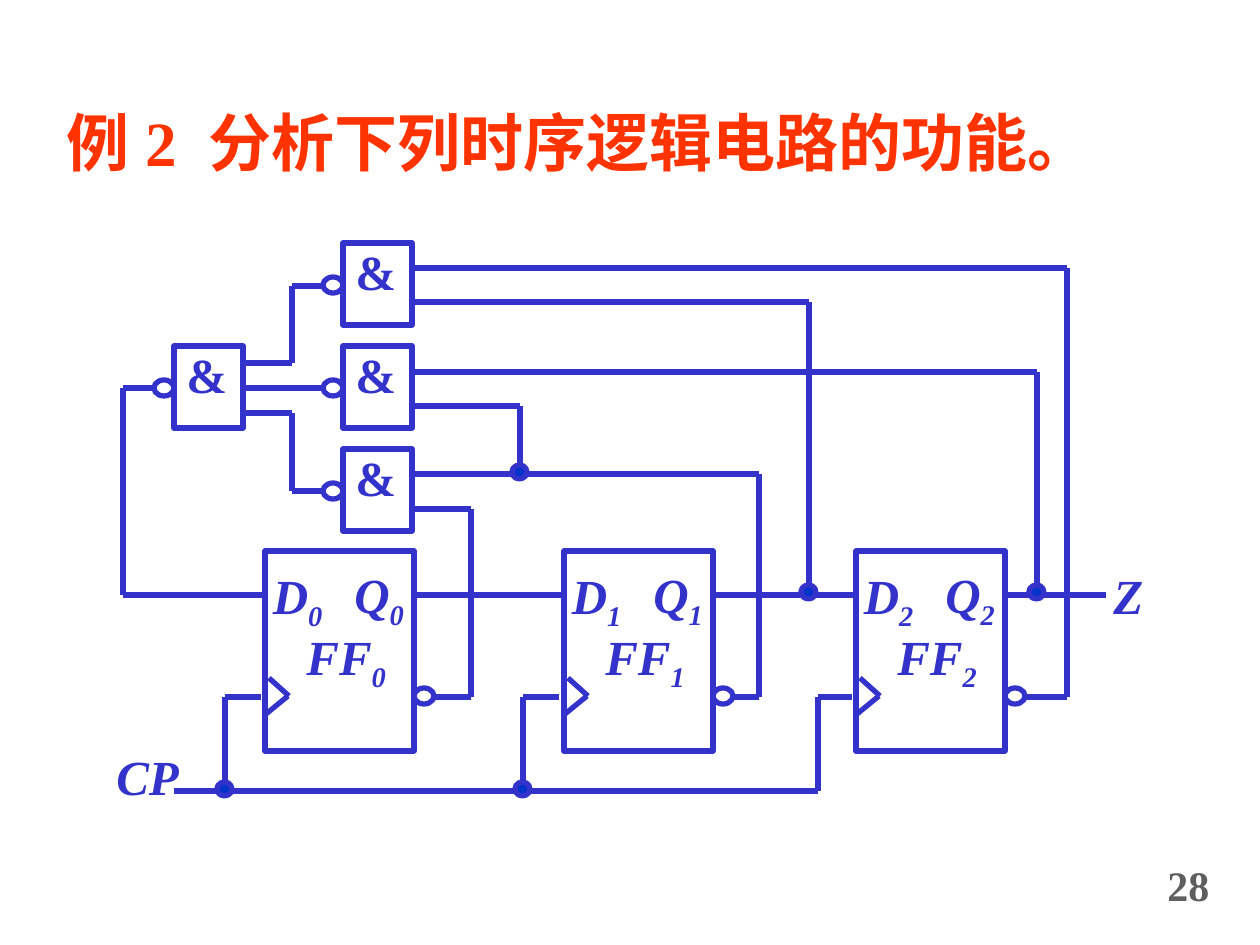
from itertools import pairwise

from lxml.etree import SubElement
from pptx import Presentation
from pptx.dml.color import RGBColor
from pptx.enum.shapes import MSO_CONNECTOR as Connector, MSO_SHAPE as Shape
from pptx.enum.text import PP_ALIGN as Align
from pptx.oxml.ns import qn
from pptx.util import Emu, Pt

COLORS = {"ink": "3333CC", "dot": "0033CC", "title": "FF3300", "number": "5F5F5F"}
LATIN, CHINESE = "Times New Roman", "Noto Sans CJK SC"
SCALE = 914400 / 126
GATES = [(343, 243), (343, 346), (343, 449), (174, 346)]
FLIP_FLOP_LEFTS = [265, 564, 856]
DOTS = [(519, 472), (1036, 592), (808, 592), (224, 789), (522, 789)]
WIRES = [
    [(154, 388), (123, 388), (123, 595), (263, 595)],
    [(243, 388), (323, 388)],
    [(243, 363), (292, 363), (292, 286), (323, 286)],
    [(243, 413), (292, 413), (292, 491), (323, 491)],
    [(412, 268), (1067, 268), (1067, 697), (1024, 697)],
    [(412, 302), (809, 302), (809, 595)],
    [(412, 372), (1037, 372), (1037, 595)],
    [(412, 406), (520, 406), (520, 474)],
    [(412, 474), (759, 474), (759, 697), (732, 697)],
    [(412, 509), (471, 509), (471, 697), (434, 697)],
    [(415, 595), (561, 595)],
    [(712, 595), (858, 595)],
    [(1004, 595), (1106, 595)],
    [(174, 791), (818, 791), (818, 697), (852, 697)],
    [(225, 791), (225, 697), (261, 697)],
    [(523, 791), (523, 697), (559, 697)],
]


def px(value):
    return Emu(round(value * SCALE))


def color(name):
    return RGBColor.from_string(COLORS[name])


def add_outline(slide, kind, left, top, width, height, fill=None):
    shape = slide.shapes.add_shape(kind, px(left), px(top), px(width), px(height))
    shape.shadow.inherit = False
    shape.line.color.rgb = color("ink")
    shape.line.width = Pt(3)
    if fill:
        shape.fill.solid()
        shape.fill.fore_color.rgb = color(fill)
    else:
        shape.fill.background()


def add_wire(slide, points):
    for start, end in pairwise(points):
        line = slide.shapes.add_connector(Connector.STRAIGHT, *map(px, start + end))
        line.line.color.rgb = color("ink")
        line.line.width = Pt(3)
        SubElement(line._element.spPr, qn("a:effectLst"))


def add_text_box(slide, left, top, width, height):
    box = slide.shapes.add_textbox(px(left), px(top), px(width), px(height))
    box.text_frame.word_wrap = True
    return box.text_frame.paragraphs[0]


def add_run(paragraph, text, size, ink, font=LATIN, italic=False):
    run = paragraph.add_run()
    run.text = text
    run.font.name = font
    run.font.size = Pt(size)
    run.font.bold = True
    run.font.italic = italic
    run.font.color.rgb = color(ink)
    properties = run._r.get_or_add_rPr()
    SubElement(properties, qn("a:ea")).set("typeface", font)
    return properties


def add_label(slide, text, left, top, width, subscript="", align=Align.LEFT, italic=True):
    paragraph = add_text_box(slide, left, top, width, 79 if subscript else 72)
    paragraph.alignment = align
    add_run(paragraph, text, 28, "ink", italic=italic)
    if subscript:
        add_run(paragraph, subscript, 28, "ink", italic=True).set("baseline", "-25000")


def add_gate(slide, left, top):
    add_outline(slide, Shape.RECTANGLE, left, top, 69, 82)
    add_label(slide, "&", left, top - 8, 84, italic=False)
    add_outline(slide, Shape.OVAL, left - 20, top + 34, 20, 16)


def add_flip_flop(slide, left, index):
    add_outline(slide, Shape.RECTANGLE, left, 551, 149, 200)
    add_label(slide, "D", left - 20, 559, 105, index, Align.CENTER)
    add_label(slide, "Q", left + 77, 558, 84, index)
    add_label(slide, "FF", left + 29, 620, 108, index)
    add_wire(slide, [(left + 4, 678), (left + 24, 696)])
    add_wire(slide, [(left + 23, 696), (left + 1, 714)])
    add_outline(slide, Shape.OVAL, left + 149, 688, 20, 16)


def add_hanging_box(slide, left, top, width, height):
    paragraph = add_text_box(slide, left, top, width, height)
    paragraph.line_spacing = 0.9
    properties = paragraph._p.get_or_add_pPr()
    properties.set("marL", str(px(48)))
    properties.set("indent", str(-px(48)))
    return paragraph


def add_title(slide):
    paragraph = add_hanging_box(slide, 54, 106, 993, 149)
    add_run(paragraph, "例", 36, "title", CHINESE)
    add_run(paragraph, " 2", 36, "title")
    add_run(paragraph, " ", 36, "title").set("spc", "900")
    add_run(paragraph, "分析下列时序逻辑电路的功能。", 36, "title", CHINESE)


def main():
    """Build the sequential logic circuit slide."""
    presentation = Presentation()
    presentation.slide_width, presentation.slide_height = px(1260), px(945)
    slide = presentation.slides.add_slide(presentation.slide_layouts[6])
    for points in WIRES:
        add_wire(slide, points)
    for left, top in GATES:
        add_gate(slide, left, top)
    for index, left in enumerate(FLIP_FLOP_LEFTS):
        add_flip_flop(slide, left, str(index))
    for x, y in DOTS:
        add_outline(slide, Shape.OVAL, x - 7, y - 7, 15, 14, "dot")
    add_label(slide, "CP", 95, 740, 105, align=Align.CENTER)
    add_label(slide, "Z", 1101, 559, 84)
    add_title(slide)
    add_run(add_hanging_box(slide, 1155, 859, 79, 58), "28", 24, "number")
    presentation.save("out.pptx")


if __name__ == "__main__":
    main()
